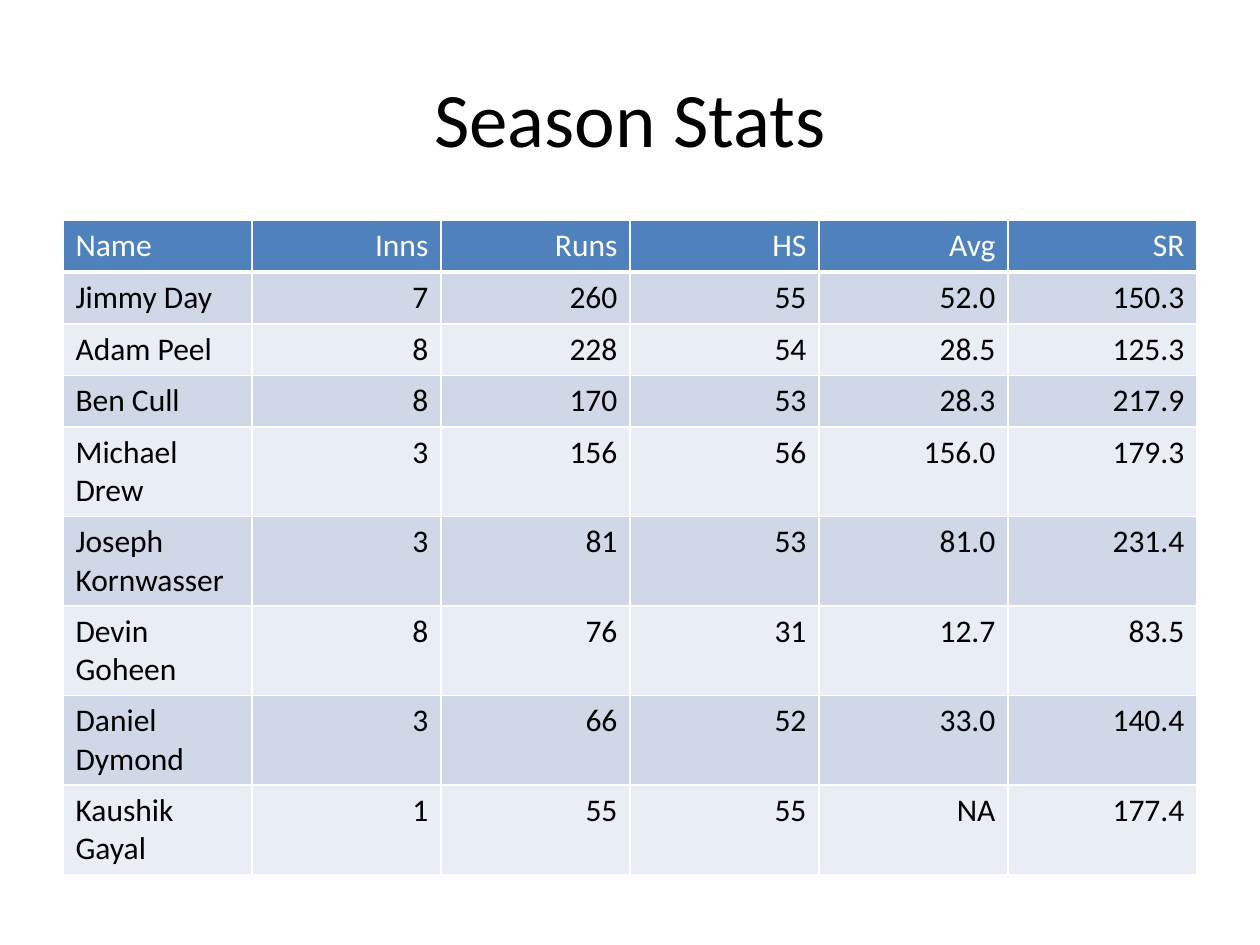
from lxml import etree
from pptx import Presentation
from pptx.dml.color import RGBColor as RGB
from pptx.enum.text import MSO_ANCHOR as ANCHOR, PP_ALIGN as ALIGN
from pptx.oxml.ns import qn
from pptx.util import Inches, Pt

COLORS = {
    "header": "4F81BD",
    "odd": "D0D8E8",
    "even": "E9EDF4",
    "white": "FFFFFF",
    "black": "000000",
}
STATS = [
    ("Name", "Inns", "Runs", "HS", "Avg", "SR"),
    ("Jimmy Day", "7", "260", "55", "52.0", "150.3"),
    ("Adam Peel", "8", "228", "54", "28.5", "125.3"),
    ("Ben Cull", "8", "170", "53", "28.3", "217.9"),
    ("Michael Drew", "3", "156", "56", "156.0", "179.3"),
    ("Joseph Kornwasser", "3", "81", "53", "81.0", "231.4"),
    ("Devin Goheen", "8", "76", "31", "12.7", "83.5"),
    ("Daniel Dymond", "3", "66", "52", "33.0", "140.4"),
    ("Kaushik Gayal", "1", "55", "55", "NA", "177.4"),
]
ONE_LINE_ROWS = 4


def add_run(p, text, size, color, align):
    p.alignment = align
    r = p.add_run()
    r.text = text
    r.font.name = "Calibri"
    r.font.size = Pt(size)
    r.font.color.rgb = RGB.from_string(COLORS[color])


def set_borders(cell, color, widths):
    tc_pr = cell._tc.get_or_add_tcPr()
    for i, (side, width) in enumerate(widths.items()):
        ln = etree.Element(qn("a:ln" + side), w=str(Pt(width)))
        fill = etree.SubElement(ln, qn("a:solidFill"))
        etree.SubElement(fill, qn("a:srgbClr"), val=COLORS[color])
        tc_pr.insert(i, ln)


prs = Presentation()
prs.slide_width, prs.slide_height = Inches(10), Inches(7.5)
s = prs.slides.add_slide(prs.slide_layouts[6])

# Title
title = s.shapes.add_textbox(Inches(0.5), Inches(0.3), Inches(9), Inches(1.25))
tf = title.text_frame
tf.word_wrap = True
tf.vertical_anchor = ANCHOR.MIDDLE
add_run(tf.paragraphs[0], "Season Stats", 44, "black", ALIGN.CENTER)

# Batting table
heights = [0.41 if i < ONE_LINE_ROWS else 0.71 for i in range(len(STATS))]
table = s.shapes.add_table(len(STATS), len(STATS[0]), Inches(0.5), Inches(1.75),
                           Inches(9), Inches(sum(heights))).table
for row, height in zip(table.rows, heights):
    row.height = Inches(height)

for i, values in enumerate(STATS):
    header = i == 0
    fill = "header" if header else "odd" if i % 2 else "even"
    for j, value in enumerate(values):
        cell = table.cell(i, j)
        cell.fill.solid()
        cell.fill.fore_color.rgb = RGB.from_string(COLORS[fill])
        set_borders(cell, "white", {"L": 1, "R": 1, "T": 1, "B": 3 if header else 1})
        add_run(cell.text_frame.paragraphs[0], value, 18,
                "white" if header else "black", ALIGN.RIGHT if j else ALIGN.LEFT)
        cell.text_frame.paragraphs[0].runs[0].font.bold = False

prs.save("out.pptx")
